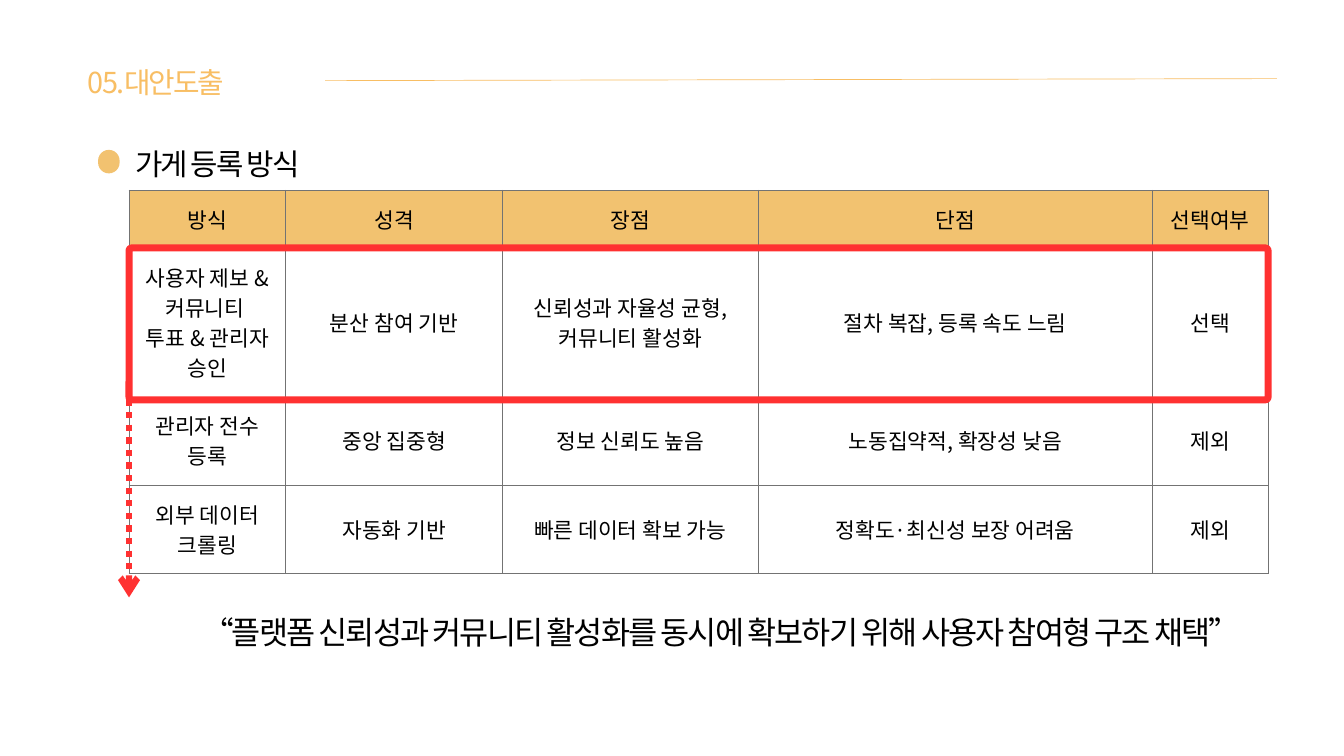
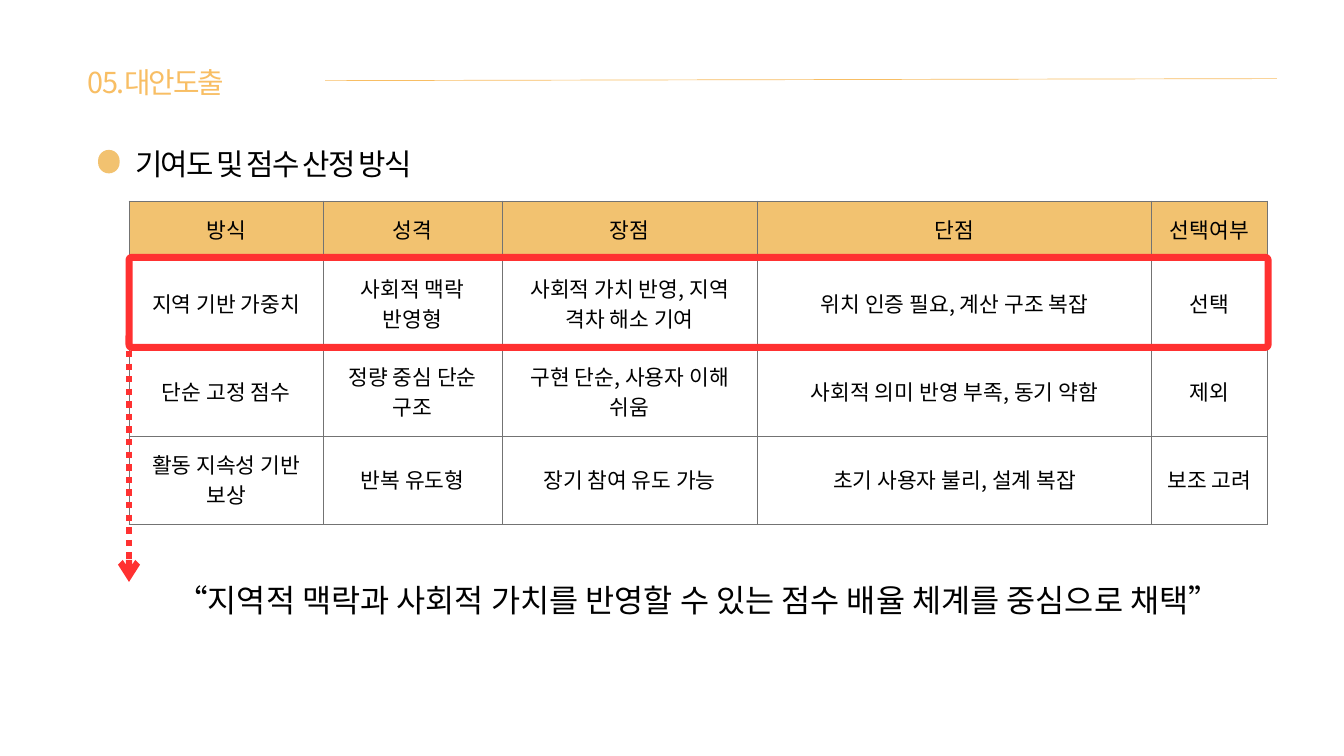
from lxml import etree
from pptx import Presentation
from pptx import util as u
from pptx.dml.color import RGBColor
from pptx.enum import dml, shapes, text
from pptx.oxml.ns import qn

PX = 9144
THEME = {
    "font": "Noto Sans CJK KR",
    "ink": RGBColor.from_string("000000"),
    "gold": RGBColor.from_string("F8BE64"),
    "band": RGBColor.from_string("F2C270"),
    "red": RGBColor.from_string("FF3131"),
    "grid": "737373",
    "title": {"size": 30.9, "leading": 43.3},
    "heading": {"size": 31.9, "leading": 44.7},
    "cell": {"size": 23, "leading": 32.2},
    "quote": {"size": 33.9, "leading": 47.5},
}
HEADER = ["방식", "성격", "장점", "단점", "선택여부"]
LEFT, WIDTH = 192, 1695

SLIDES = [
    {
        "heading": "가게 등록 방식",
        "top": 283,
        "cols": [233, 323, 380, 587, 172],
        "rows": [85, 216, 130, 130],
        "cells": [
            ["사용자 제보 &커뮤니티 \n투표 & 관리자 승인", "분산 참여 기반",
             "신뢰성과 자율성 균형, 커뮤니티 활성화", "절차 복잡, 등록 속도 느림", "선택"],
            ["관리자 전수 등록", "중앙 집중형", "정보 신뢰도 높음",
             "노동집약적, 확장성 낮음", "제외"],
            ["외부 데이터 크롤링", "자동화 기반", "빠른 데이터 확보 가능",
             "정확도·최신성 보장 어려움", "제외"],
        ],
        "frame": (369, 226),
        "arrow": (482, 889),
        "quote": "“플랫폼 신뢰성과 커뮤니티 활성화를 동시에 확보하기 위해 사용자 참여형 구조 채택”",
        "quote_box": (300, 903, 1546, 63),
        "quote_spc": -210,
    },
    {
        "heading": "기여도 및 점수 산정 방식",
        "top": 299,
        "cols": [289, 266, 380, 587, 172],
        "rows": [85, 129, 129, 129],
        "cells": [
            ["지역 기반 가중치", "사회적 맥락 반영형", "사회적 가치 반영, 지역 격차 해소 기여",
             "위치 인증 필요, 계산 구조 복잡", "선택"],
            ["단순 고정 점수", "정량 중심 단순 구조", "구현 단순, 사용자 이해 쉬움",
             "사회적 의미 반영 부족, 동기 약함", "제외"],
            ["활동 지속성 기반 보상", "반복 유도형", "장기 참여 유도 가능",
             "초기 사용자 불리, 설계 복잡", "보조 고려"],
        ],
        "frame": (383, 134),
        "arrow": (466, 866),
        "quote": "“지역적 맥락과 사회적 가치를 반영할 수 있는 점수 배율 체계를 중심으로 채택”",
        "quote_box": (261, 855, 1558, 63),
        "quote_spc": 0,
    },
]


def write(tf, content, style, color=THEME["ink"], align=text.PP_ALIGN.LEFT, spc=0):
    for i, line in enumerate(content.split("\n")):
        p = tf.add_paragraph() if i else tf.paragraphs[0]
        p.alignment = align
        p.line_spacing = u.Pt(THEME[style]["leading"])
        r = p.add_run()
        r.text = line
        for name, value in {"name": THEME["font"], "size": u.Pt(THEME[style]["size"])}.items():
            setattr(r.font, name, value)
        r.font.color.rgb = color
        rpr = r.font._element
        etree.SubElement(rpr, qn("a:ea"), typeface=THEME["font"])
        if spc:
            rpr.set("spc", str(spc))


def line(s, ends, color, width):
    sp = s.shapes.add_connector(shapes.MSO_CONNECTOR.STRAIGHT, *(v * PX for v in ends))
    sp.line.color.rgb = color
    sp.line.width = u.Pt(width)
    etree.SubElement(sp._element.spPr, qn("a:effectLst"))
    return sp


prs = Presentation()
prs.slide_width, prs.slide_height = 2000 * PX, 1125 * PX

for d in SLIDES:
    s = prs.slides.add_slide(prs.slide_layouts[6])
    line(s, (484, 120, 1900, 117), THEME["gold"], 0.75)

    sp = s.shapes.add_shape(shapes.MSO_SHAPE.ROUNDED_RECTANGLE,
                            *(v * PX for v in (146, 223, 32, 35)))
    sp.adjustments[0] = 0.5
    sp.shadow.inherit = False
    sp.fill.solid()
    sp.fill.fore_color.rgb = THEME["band"]
    sp.line.fill.background()

    center = text.PP_ALIGN.CENTER
    for box, content, style, fmt in [
        ((201, 208, 1229, 58), d["heading"], "heading", {"spc": -200}),
        ((131, 87, 353, 58), "05.대안도출", "title", {"color": THEME["gold"], "spc": -200}),
        (d["quote_box"], d["quote"], "quote", {"align": center, "spc": d["quote_spc"]}),
    ]:
        tf = s.shapes.add_textbox(*(v * PX for v in box)).text_frame
        for name, value in {"word_wrap": True, "margin_left": 0, "margin_top": 0,
                            "margin_right": 0, "margin_bottom": 0,
                            "auto_size": text.MSO_AUTO_SIZE.SHAPE_TO_FIT_TEXT}.items():
            setattr(tf, name, value)
        write(tf, content, style, **fmt)

    rows = [HEADER] + d["cells"]
    tbl = s.shapes.add_table(len(rows), len(HEADER), LEFT * PX, d["top"] * PX,
                             sum(d["cols"]) * PX, sum(d["rows"]) * PX).table
    tbl.first_row = tbl.horz_banding = False
    for col, width in zip(tbl.columns, d["cols"]):
        col.width = width * PX
    for i, (row, height) in enumerate(zip(tbl.rows, d["rows"])):
        row.height = height * PX
        for cell, content in zip(row.cells, rows[i]):
            for side in ("left", "top", "right", "bottom"):
                setattr(cell, "margin_" + side, 21 * PX)
            cell.vertical_anchor = text.MSO_ANCHOR.MIDDLE
            for edge in ("a:lnL", "a:lnR", "a:lnT", "a:lnB"):
                ln = etree.SubElement(cell._tc.tcPr, qn(edge), w=str(u.Pt(0.75)))
                fill = etree.SubElement(ln, qn("a:solidFill"))
                etree.SubElement(fill, qn("a:srgbClr"), val=THEME["grid"])
            if i:
                cell.fill.background()
            else:
                cell.fill.solid()
                cell.fill.fore_color.rgb = THEME["band"]
            write(cell.text_frame, content, "cell", align=center)

    top, height = d["frame"]
    sp = s.shapes.add_shape(shapes.MSO_SHAPE.ROUNDED_RECTANGLE,
                            *(v * PX for v in (LEFT, top, WIDTH, height)))
    sp.adjustments[0] = 4 / height
    sp.shadow.inherit = False
    sp.fill.background()
    sp.line.color.rgb = THEME["red"]
    sp.line.width = u.Pt(7.5)

    start, end = d["arrow"]
    sp = line(s, (LEFT, start, LEFT, end), THEME["red"], 6.75)
    sp.line.dash_style = dml.MSO_LINE.ROUND_DOT
    etree.SubElement(sp._element.spPr.find(qn("a:ln")), qn("a:tailEnd"), type="arrow")

prs.save("out.pptx")
